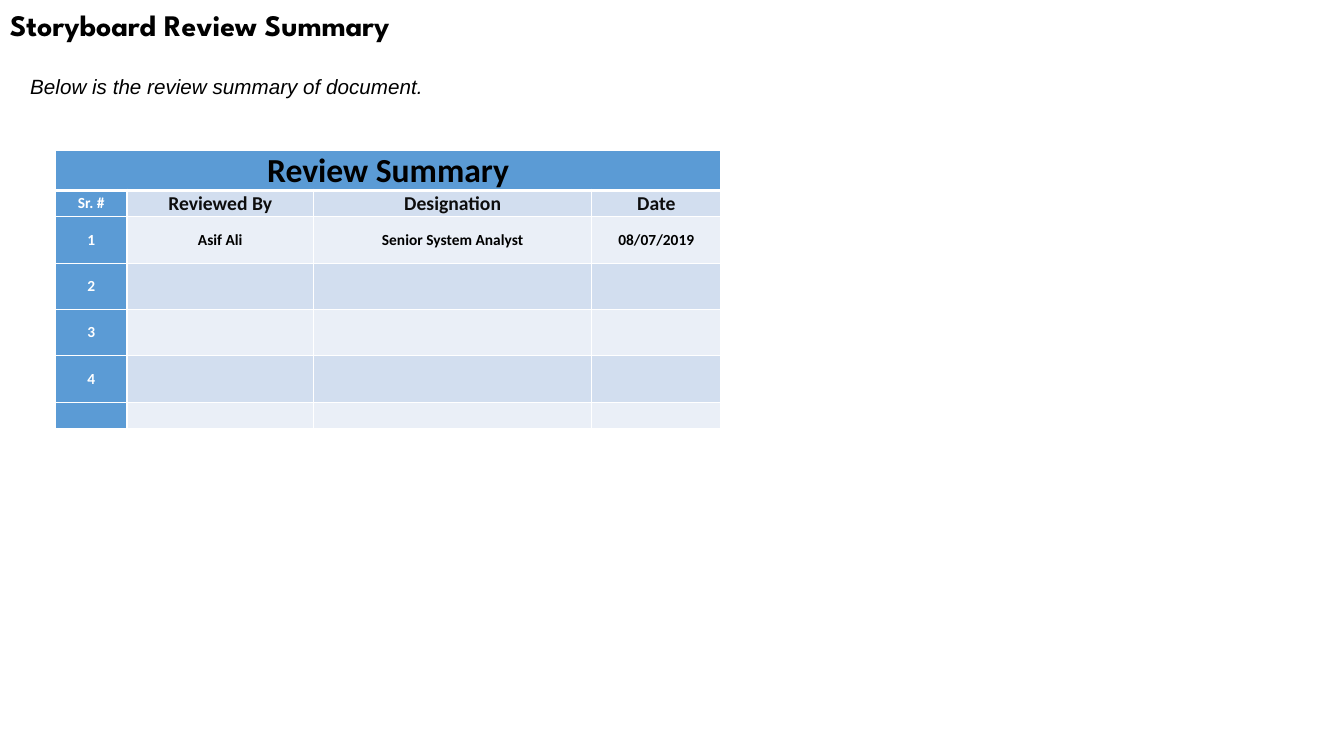
import pptx
import pptx.dml.color
import pptx.enum.text
import pptx.oxml
import pptx.oxml.ns
import pptx.util

Inches = pptx.util.Inches
Pt = pptx.util.Pt

# Content
TITLE = "Storyboard Review Summary"
INTRO = "Below is the review summary of document."
TABLE_TITLE = "Review Summary"
HEADINGS = ["Sr. #", "Reviewed By", "Designation", "Date"]
REVIEWS = [
    ["1", "Asif Ali", "Senior System Analyst", "08/07/2019"],
    ["2", "", "", ""],
    ["3", "", "", ""],
    ["4", "", "", ""],
    ["", "", "", ""],
]
ROWS = [[TABLE_TITLE, "", "", ""], HEADINGS] + REVIEWS

# Grid and colours
SLIDE_WIDTH, SLIDE_HEIGHT = 13.33, 7.5
TABLE_LEFT, TABLE_TOP = 0.55, 1.49
COLUMN_WIDTHS = [0.71, 1.85, 2.76, 1.28]
ROW_HEIGHTS = [0.37, 0.26] + [0.46] * 4 + [0.26]
COLORS = {
    "black": "000000",
    "white": "FFFFFF",
    "heading": "0D0D0D",
    "accent": "5B9BD5",
    "dark band": "D2DEEF",
    "light band": "EAEFF7",
}


def rgb(name):
    return pptx.dml.color.RGBColor.from_string(COLORS[name])


def add_run(paragraph, text, size, font, color, bold=False, italic=False):
    run = paragraph.add_run()
    run.text = text
    run.font.size = Pt(size)
    run.font.name = font
    run.font.bold = bold
    run.font.italic = italic
    run.font.color.rgb = rgb(color)


def add_text(slide, box, left_inset, anchor):
    shape = slide.shapes.add_textbox(*map(Inches, box))
    frame = shape.text_frame
    frame.word_wrap = True
    frame.margin_left = Inches(left_inset)
    frame.vertical_anchor = anchor
    return frame.paragraphs[0]


def set_borders(cell, bottom_width):
    properties = cell._tc.get_or_add_tcPr()
    widths = {"lnL": 1, "lnR": 1, "lnT": 1, "lnB": bottom_width}
    for position, (side, width) in enumerate(widths.items()):
        properties.insert(position, pptx.oxml.parse_xml(
            f'<a:{side} {pptx.oxml.ns.nsdecls("a")} w="{Pt(width)}">'
            f'<a:solidFill><a:srgbClr val="{COLORS["white"]}"/></a:solidFill></a:{side}>'
        ))


def cell_style(row, column):
    """Return fill, text colour and text size."""
    if row == 0:
        return "accent", "black", 24
    if column == 0:
        return "accent", "white", 11
    if row == 1:
        return "dark band", "heading", 14
    return ("dark band" if row % 2 else "light band"), "black", 11


def fill_cell(cell, text, row, column):
    fill, color, size = cell_style(row, column)
    cell.fill.solid()
    cell.fill.fore_color.rgb = rgb(fill)
    set_borders(cell, 3 if row == 0 else 1)
    cell.margin_left = cell.margin_right = Inches(0.07)
    cell.margin_top = cell.margin_bottom = 0
    cell.vertical_anchor = pptx.enum.text.MSO_ANCHOR.MIDDLE
    paragraph = cell.text_frame.paragraphs[0]
    paragraph.alignment = pptx.enum.text.PP_ALIGN.CENTER
    if text:
        add_run(paragraph, text, size, "Calibri", color, bold=True)
    else:
        # Small text size keeps empty rows at their set height
        paragraph._p.append(pptx.oxml.parse_xml(
            f'<a:endParaRPr {pptx.oxml.ns.nsdecls("a")} sz="1100"/>'))


def add_review_table(slide):
    table = slide.shapes.add_table(
        len(ROWS), len(COLUMN_WIDTHS), Inches(TABLE_LEFT), Inches(TABLE_TOP),
        Inches(sum(COLUMN_WIDTHS)), Inches(sum(ROW_HEIGHTS))).table
    for column, width in zip(table.columns, COLUMN_WIDTHS):
        column.width = Inches(width)
    for row, height in zip(table.rows, ROW_HEIGHTS):
        row.height = Inches(height)
    for row, texts in enumerate(ROWS):
        for column, text in enumerate(texts):
            fill_cell(table.cell(row, column), text, row, column)
    table.cell(0, 0).merge(table.cell(0, len(COLUMN_WIDTHS) - 1))


def main():
    presentation = pptx.Presentation()
    presentation.slide_width = Inches(SLIDE_WIDTH)
    presentation.slide_height = Inches(SLIDE_HEIGHT)
    slide = presentation.slides.add_slide(presentation.slide_layouts[6])

    # Title and introduction
    anchors = pptx.enum.text.MSO_ANCHOR
    title = add_text(slide, (0, 0.01, SLIDE_WIDTH, 0.51), 0.1, anchors.MIDDLE)
    title.line_spacing = 0.9
    add_run(title, TITLE, 21.3, "League Spartan", "black", bold=True)
    intro = add_text(slide, (0, 0.68, 7.24, 0.38), 0.3, anchors.TOP)
    add_run(intro, INTRO, 14.7, "Arial", "black", italic=True)

    # Review table
    add_review_table(slide)
    presentation.save("out.pptx")


if __name__ == "__main__":
    main()
